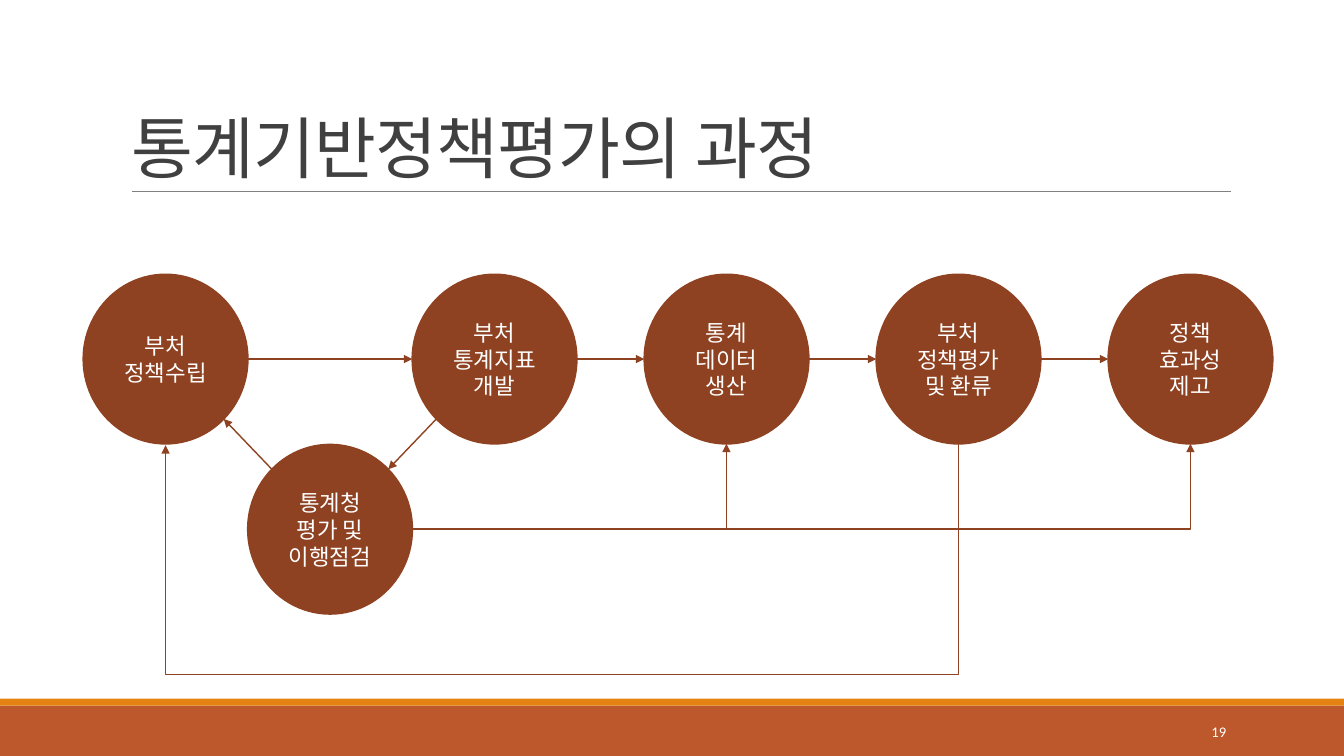
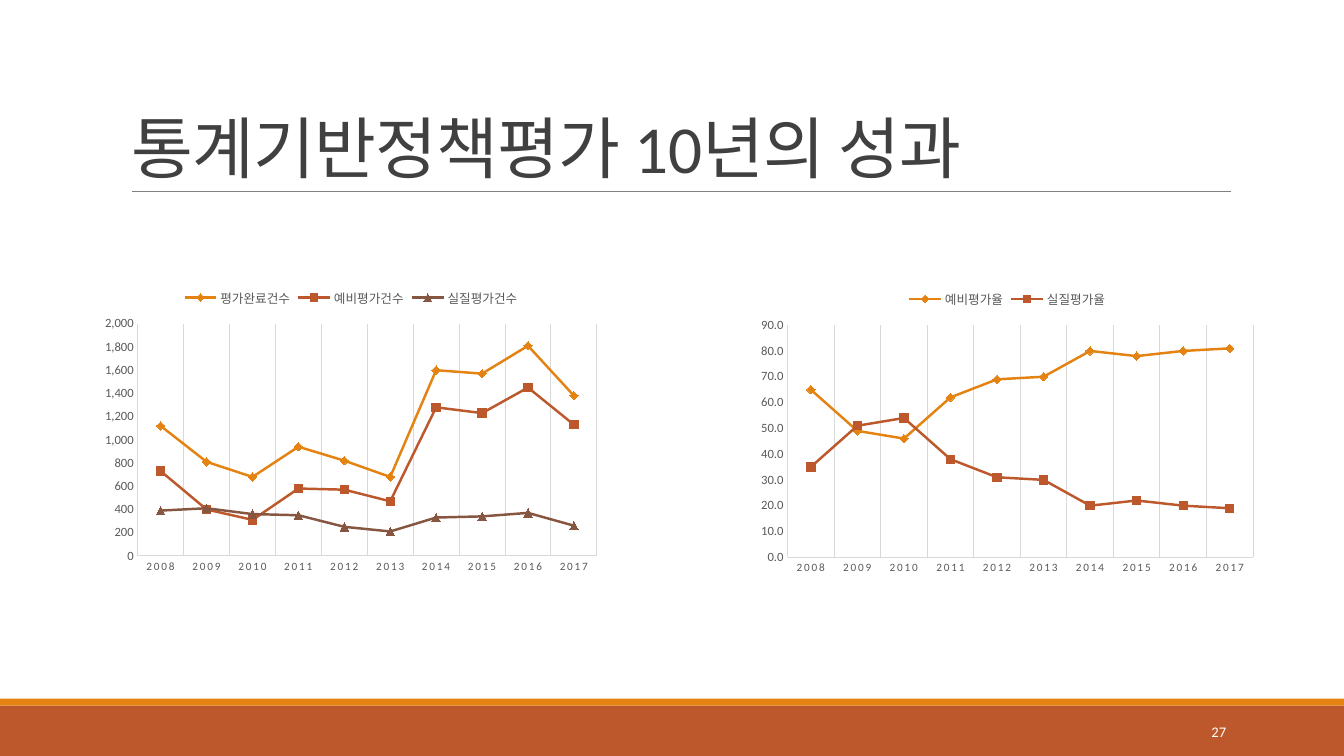
import math

import lxml.etree
import pptx
import pptx.chart.data
import pptx.dml.color
import pptx.enum.chart
import pptx.enum.shapes
import pptx.enum.text
import pptx.oxml.ns
import pptx.util

Pt = pptx.util.Pt
qn = pptx.oxml.ns.qn
hue = pptx.dml.color.RGBColor.from_string
Align = pptx.enum.text.PP_ALIGN
Anchor = pptx.enum.text.MSO_ANCHOR
Form = pptx.enum.shapes.MSO_SHAPE
Link = pptx.enum.shapes.MSO_CONNECTOR
Mark = pptx.enum.chart.XL_MARKER_STYLE


class Theme:
    font = "Calibri"
    ink, gray, grid, rule = hue("404040"), hue("595959"), hue("D9D9D9"), hue("808080")
    white, brown = hue("FFFFFF"), hue("8E4221")
    amber, rust, cocoa = hue("E48312"), hue("BD582C"), hue("865640")
    title, node, page, base, label, year = 48, 16, 10.5, 10, 9, 8


def write(shape, text, size, color, align=Align.LEFT, anchor=Anchor.MIDDLE,
          lead=None, track=0):
    frame = shape.text_frame
    frame.text = text
    frame.word_wrap = True
    frame.auto_size = pptx.enum.text.MSO_AUTO_SIZE.NONE
    frame.vertical_anchor = anchor
    for para in frame.paragraphs:
        para.alignment = align
        para.line_spacing = lead
        for run in para.runs:
            run.font.name = Theme.font
            run.font.size = Pt(size)
            run.font.color.rgb = color
    if track:
        for prop in shape.element.iter(qn("a:rPr")):
            prop.set("spc", str(track))


def join(slide, start, end, kind=Link.STRAIGHT, color=Theme.brown, width=1, arrow=True):
    line = slide.shapes.add_connector(kind, *map(Pt, start + end))
    line.line.color.rgb = color
    line.line.width = Pt(width)
    if arrow:
        edge = line.element.find(".//" + qn("a:ln"))
        lxml.etree.SubElement(edge, qn("a:tailEnd"), type="triangle")
    lxml.etree.SubElement(line.element.find(qn("p:spPr")), qn("a:effectLst"))
    return line


deck = pptx.Presentation()
deck.slide_width, deck.slide_height = Pt(960), Pt(540)
layout = deck.slide_layouts[5]

# Shared layout: title place, no spare footers
for spot in list(layout.placeholders):
    if spot.placeholder_format.type == pptx.enum.shapes.PP_PLACEHOLDER.TITLE:
        spot.left, spot.top, spot.width, spot.height = map(Pt, (86.4, 22.5, 792, 114.5))
    else:
        layout.shapes.element.remove(spot.element)

# Title and page number of each slide
pages = [("통계기반정책평가의 과정", "19"), ("통계기반정책평가 10년의 성과", "27")]
for title, page in pages:
    slide = deck.slides.add_slide(layout)
    write(slide.shapes.title, title, Theme.title, Theme.ink,
          anchor=Anchor.BOTTOM, lead=0.85, track=-50)
    box = slide.shapes.add_textbox(Pt(780), Pt(508.5), Pt(103), Pt(28.5))
    write(box, page, Theme.page, Theme.white, align=Align.RIGHT)
flow, trend = deck.slides

# Shared layout: bands and title rule, moved from the slide to the layout
for top, high, color in [(504, 36, Theme.rust), (499, 5, Theme.amber)]:
    band = flow.shapes.add_shape(Form.RECTANGLE, 0, Pt(top), Pt(960), Pt(high))
    band.shadow.inherit = False
    band.fill.solid()
    band.fill.fore_color.rgb = color
    band.line.fill.background()
    layout.shapes.element.append(band.element)
rule = join(flow, (94.5, 136.8), (879, 136.8), color=Theme.rule, width=0.5, arrow=False)
layout.shapes.element.append(rule.element)

# Process circles: one row of five, one check below
wide, high, step = 117.5, 121, 165.7
row, low = 196, 317.5
left = 59.5
main = left + 2 * wide
steps = [
    ("부처\n정책수립", left, row),
    ("부처\n통계지표 개발", main, row),
    ("통계 데이터 생산", main + step, row),
    ("부처\n정책평가 및 환류", main + 2 * step, row),
    ("정책\n효과성 제고", main + 3 * step, row),
    ("통계청\n평가 및\n이행점검", left + wide, low),
]
mids = []
for text, x, y in steps:
    node = flow.shapes.add_shape(Form.OVAL, Pt(x), Pt(y), Pt(wide), Pt(high))
    node.shadow.inherit = False
    node.fill.solid()
    node.fill.fore_color.rgb = Theme.brown
    node.line.color.rgb = Theme.brown
    node.line.width = Pt(1.25)
    write(node, text, Theme.node, Theme.white, align=Align.CENTER)
    mids.append((x + wide / 2, y + high / 2))
plan, index, data, review, effect, check = mids

# Straight arrows along the row and around the check
for (x1, y), (x2, _) in zip(mids[:4], mids[1:5]):
    join(flow, (x1 + wide / 2, y), (x2 - wide / 2, y))
dx, dy = wide / 2 * math.sqrt(0.5), high / 2 * math.sqrt(0.5)
join(flow, (index[0] - dx, index[1] + dy), (check[0] + dx, check[1] - dy))
join(flow, (check[0] - dx, check[1] - dy), (plan[0] + dx, plan[1] + dy))

# Bent arrows from the check up to data and effect
foot = row + high
for goal in (effect, data):
    bend = join(flow, (check[0] + wide / 2, check[1]), (goal[0], foot), Link.ELBOW)
    bend.element.find(".//" + qn("a:prstGeom")).set("prst", "bentConnector2")

# Feedback loop: a thin elbow, turned a quarter, that drops below the row
drop = 166
mid, span = (plan[0] + review[0]) / 2, review[0] - plan[0]
loop = join(flow, (mid - 0.5, foot + 0.5 - span / 2),
            (mid + 0.5, foot + 0.5 + span / 2), Link.ELBOW)
loop.element.find(".//" + qn("a:xfrm")).set("rot", "5400000")
guides = loop.element.find(".//" + qn("a:avLst"))
lxml.etree.SubElement(guides, qn("a:gd"), name="adj1", fmla=f"val {drop * 100000}")

# Line charts: left, top, format, axis top, axis step, series
years = [str(year) for year in range(2008, 2018)]
charts = [
    (67.7, 198, "#,##0", 2000, 200, [
        ("평가완료건수", (1120, 810, 680, 940, 820, 680, 1600, 1570, 1810, 1380)),
        ("예비평가건수", (730, 400, 310, 580, 570, 470, 1280, 1230, 1450, 1130)),
        ("실질평가건수", (390, 410, 360, 350, 250, 210, 330, 340, 370, 260))]),
    (536.4, 199, "0.0", 90, 10, [
        ("예비평가율", (65, 49, 46, 62, 69, 70, 80, 78, 80, 81)),
        ("실질평가율", (35, 51, 54, 38, 31, 30, 20, 22, 20, 19))]),
]
looks = [(Theme.amber, Mark.DIAMOND), (Theme.rust, Mark.SQUARE), (Theme.cocoa, Mark.TRIANGLE)]
for x, y, form, peak, unit, rows in charts:
    feed = pptx.chart.data.CategoryChartData(number_format=form)
    feed.categories = years
    for name, vals in rows:
        feed.add_series(name, vals)
    chart = trend.shapes.add_chart(pptx.enum.chart.XL_CHART_TYPE.LINE_MARKERS,
                                   Pt(x), Pt(y), Pt(366), Pt(216), feed).chart
    chart.has_title = False
    chart.font.name, chart.font.size = Theme.font, Pt(Theme.base)
    chart.has_legend = True
    chart.legend.position = pptx.enum.chart.XL_LEGEND_POSITION.TOP
    chart.legend.include_in_layout = False
    cats, vals = chart.category_axis, chart.value_axis
    fonts = [(chart.legend.font, Theme.label), (cats.tick_labels.font, Theme.year),
             (vals.tick_labels.font, Theme.label)]
    for font, size in fonts:
        font.name, font.size, font.color.rgb = Theme.font, Pt(size), Theme.gray
    for prop in chart.element.find(".//" + qn("c:catAx")).iter(qn("a:defRPr")):
        prop.set("spc", "120")

    # Axes and upright grid
    cats.has_major_gridlines, vals.has_major_gridlines = True, False
    vals.minimum_scale, vals.maximum_scale, vals.major_unit = 0, peak, unit
    vals.tick_labels.number_format = form
    vals.tick_labels.number_format_is_linked = False
    for axis in (cats, vals):
        axis.major_tick_mark = pptx.enum.chart.XL_TICK_MARK.NONE
    for part in (cats, vals, cats.major_gridlines):
        part.format.line.color.rgb = Theme.grid
        part.format.line.width = Pt(0.75)

    # Series lines and markers
    for line, (color, mark) in zip(chart.plots[0].series, looks):
        line.smooth = False
        line.format.line.color.rgb = color
        line.format.line.width = Pt(1.75)
        line.marker.style, line.marker.size = mark, 6
        line.marker.format.fill.solid()
        line.marker.format.fill.fore_color.rgb = color
        line.marker.format.line.color.rgb = color

deck.save("out.pptx")
